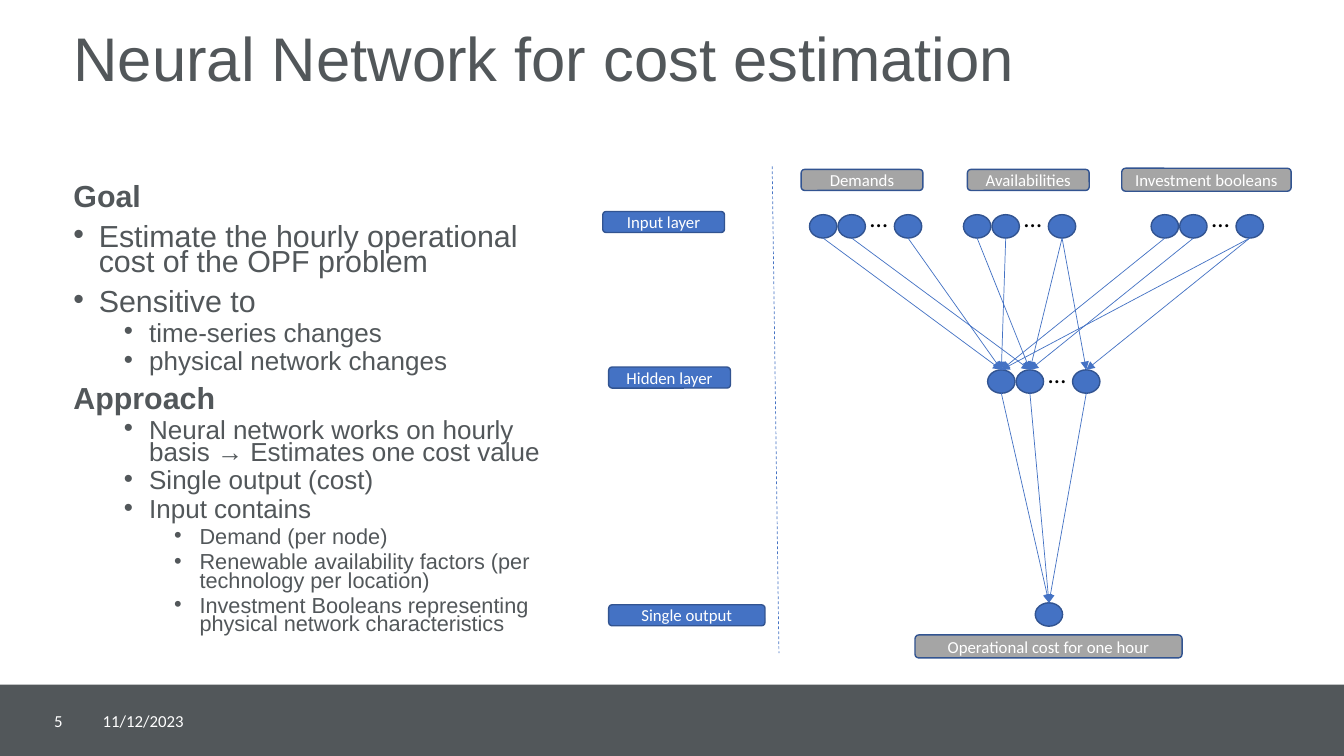
from lxml import etree
from pptx import Presentation, util as u
from pptx.dml.color import RGBColor
from pptx.enum import dml, shapes, text
from pptx.oxml.ns import qn

SLATE, BLUE, NAVY, GREY = "52575A", "4472C4", "325491", "A5A5A5"
WHITE, BLACK = "FFFFFF", "000000"

TITLE = "Neural Network for cost estimation"
BODY = [  # style, wording
    ("head", "Goal"),
    ("top", "Estimate the hourly operational cost of the OPF problem"),
    ("top", "Sensitive to"),
    ("sub", "time-series changes"),
    ("sub", "physical network changes"),
    ("head", "Approach"),
    ("sub", "Neural network works on hourly basis → Estimates one cost value"),
    ("sub", "Single output (cost)"),
    ("sub", "Input contains"),
    ("detail", "Demand (per node)"),
    ("detail", "Renewable availability factors (per technology per location)"),
    ("detail", "Investment Booleans representing physical network characteristics"),
]
STYLES = {  # level, left indent in cm, size, space before
    "head": (0, 0, 21.7, 10),
    "top": (0, 0.64, 21.7, 10),
    "sub": (1, 1.91, 18.6, 5),
    "detail": (2, 3.18, 15.5, 5),
}
HANG = 0.64
TAGS = [  # wording, fill, left, top, width, height
    ("Input layer", BLUE, 15.19, 5.33, 3.07, 0.53),
    ("Hidden layer", BLUE, 15.34, 9.25, 3.07, 0.53),
    ("Single output", BLUE, 15.34, 15.24, 3.94, 0.53),
    ("Demands", GREY, 20.19, 4.27, 3.07, 0.53),
    ("Availabilities", GREY, 24.38, 4.27, 3.07, 0.53),
    ("Investment booleans", GREY, 28.27, 4.24, 4.27, 0.58),
    ("Operational cost for one hour", GREY, 23.06, 16, 6.73, 0.58),
]
NODE_W, NODE_H = 0.69, 0.59
NODE_STEPS = (0, 0.72, 2.14)
CLUSTERS = {  # left, top
    "demands": (20.4, 5.41),
    "availabilities": (24.28, 5.41),
    "investments": (29.01, 5.41),
    "hidden": (24.89, 9.32),
}
OUTPUT = (26.09, 15.19)
LINKS = {  # for each input node, the hidden nodes it feeds
    "demands": [(0,), (1,), (0,)],
    "availabilities": [(1,), (0,), (1, 2)],
    "investments": [(0,), (1,), (0, 2)],
}

prs = Presentation()
prs.slide_width, prs.slide_height = u.Cm(33.87), u.Cm(19.05)
s = prs.slides.add_slide(prs.slide_layouts[6])


def rgb(value):
    return RGBColor.from_string(value)


def write(p, words, size=12, color=WHITE, font="Calibri", bold=False,
          align=text.PP_ALIGN.LEFT, spacing=None):
    p.alignment = align
    p.line_spacing = spacing
    r = p.add_run()
    r.text = words
    r.font.size, r.font.name, r.font.bold = u.Pt(size), font, bold
    r.font.color.rgb = rgb(color)


def text_frame(box, parent=s, anchor=text.MSO_ANCHOR.MIDDLE, wrap=True):
    tf = parent.shapes.add_textbox(*map(u.Cm, box)).text_frame
    tf.word_wrap, tf.vertical_anchor = wrap, anchor
    return tf


def shape(kind, box, fill, line=None, parent=s):
    sp = parent.shapes.add_shape(kind, *map(u.Cm, box))
    sp.shadow.inherit = False
    sp.fill.solid()
    sp.fill.fore_color.rgb = rgb(fill)
    if line:
        sp.line.color.rgb = rgb(line)
        sp.line.width = u.Pt(1)
    else:
        sp.line.fill.background()
    return sp


def node(left, top, parent=s):
    shape(shapes.MSO_SHAPE.OVAL, (left, top, NODE_W, NODE_H), BLUE, NAVY, parent)


def cluster(left, top):
    """Three grouped nodes, with an ellipsis before the last one."""
    group = s.shapes.add_group_shape()
    for step in NODE_STEPS:
        node(left + step, top, group)
    tf = text_frame((left + 1.18, top - 0.43, 1.14, 1.02), group, wrap=False)
    write(tf.paragraphs[0], "…", size=18, color=BLACK, align=text.PP_ALIGN.CENTER)


def line(start, end, arrow=True):
    c = s.shapes.add_connector(shapes.MSO_CONNECTOR.STRAIGHT,
                               *map(u.Cm, (*start, *end)))
    c.line.color.rgb = rgb(BLUE)
    c.line.width = u.Pt(0.5)
    if arrow:
        etree.SubElement(c.line._get_or_add_ln(), qn("a:tailEnd"), type="triangle")
    else:
        c.line.dash_style = dml.MSO_LINE.DASH
    etree.SubElement(c._element.spPr, qn("a:effectLst"))


def above(left, top):
    return left + NODE_W / 2, top


def below(left, top):
    return left + NODE_W / 2, top + NODE_H


def member(name, index):
    left, top = CLUSTERS[name]
    return left + NODE_STEPS[index], top


# Footer band
shape(shapes.MSO_SHAPE.RECTANGLE, (0, 17.25, 33.87, 1.8), SLATE)
write(text_frame((2.34, 17.65, 2.69, 1.02)).paragraphs[0], "11/12/2023")
write(text_frame((0.48, 17.65, 1.35, 1.02)).paragraphs[0], "5",
      align=text.PP_ALIGN.RIGHT)

# Title and bullets
tf = text_frame((1.6, 0.58, 30.66, 3.2), anchor=text.MSO_ANCHOR.TOP)
write(tf.paragraphs[0], TITLE, size=44, color=SLATE, font="Arial", spacing=0.9)

tf = text_frame((1.6, 4.6, 12.29, 12.4), anchor=text.MSO_ANCHOR.TOP)
for i, (style, words) in enumerate(BODY):
    level, indent, size, before = STYLES[style]
    p = tf.add_paragraph() if i else tf.paragraphs[0]
    p.level = level
    if indent:
        pPr = p._p.get_or_add_pPr()
        pPr.set("marL", str(u.Cm(indent)))
        pPr.set("indent", str(-u.Cm(HANG)))
        etree.SubElement(pPr, qn("a:buFont"), typeface="Arial")
        etree.SubElement(pPr, qn("a:buChar"), char="•")
    p.space_before = u.Pt(before if i else 0)
    write(p, words, size=size, color=SLATE, font="Arial",
          bold=style == "head", spacing=0.7)

# Network diagram
line((19.46, 4.19), (19.63, 16.46), arrow=False)
for words, fill, *box in TAGS:
    sp = shape(shapes.MSO_SHAPE.ROUNDED_RECTANGLE, box, fill, NAVY)
    sp.text_frame.word_wrap = True
    sp.text_frame.vertical_anchor = text.MSO_ANCHOR.MIDDLE
    write(sp.text_frame.paragraphs[0], words, align=text.PP_ALIGN.CENTER)

for corner in CLUSTERS.values():
    cluster(*corner)
node(*OUTPUT)

for name, fan in LINKS.items():
    for index, targets in enumerate(fan):
        for target in targets:
            line(below(*member(name, index)), above(*member("hidden", target)))
for index in range(len(NODE_STEPS)):
    line(below(*member("hidden", index)), above(*OUTPUT))

prs.save("out.pptx")
